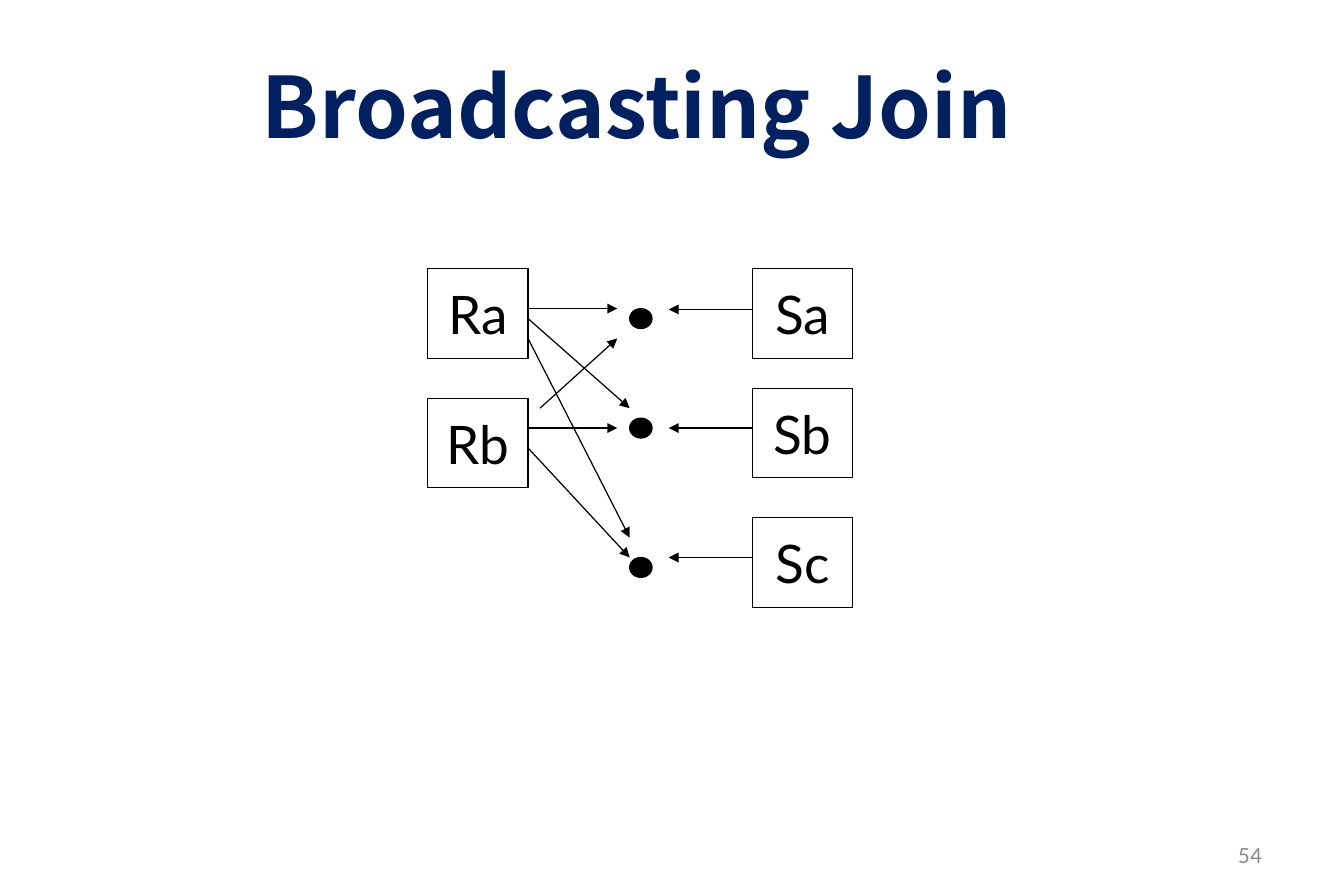
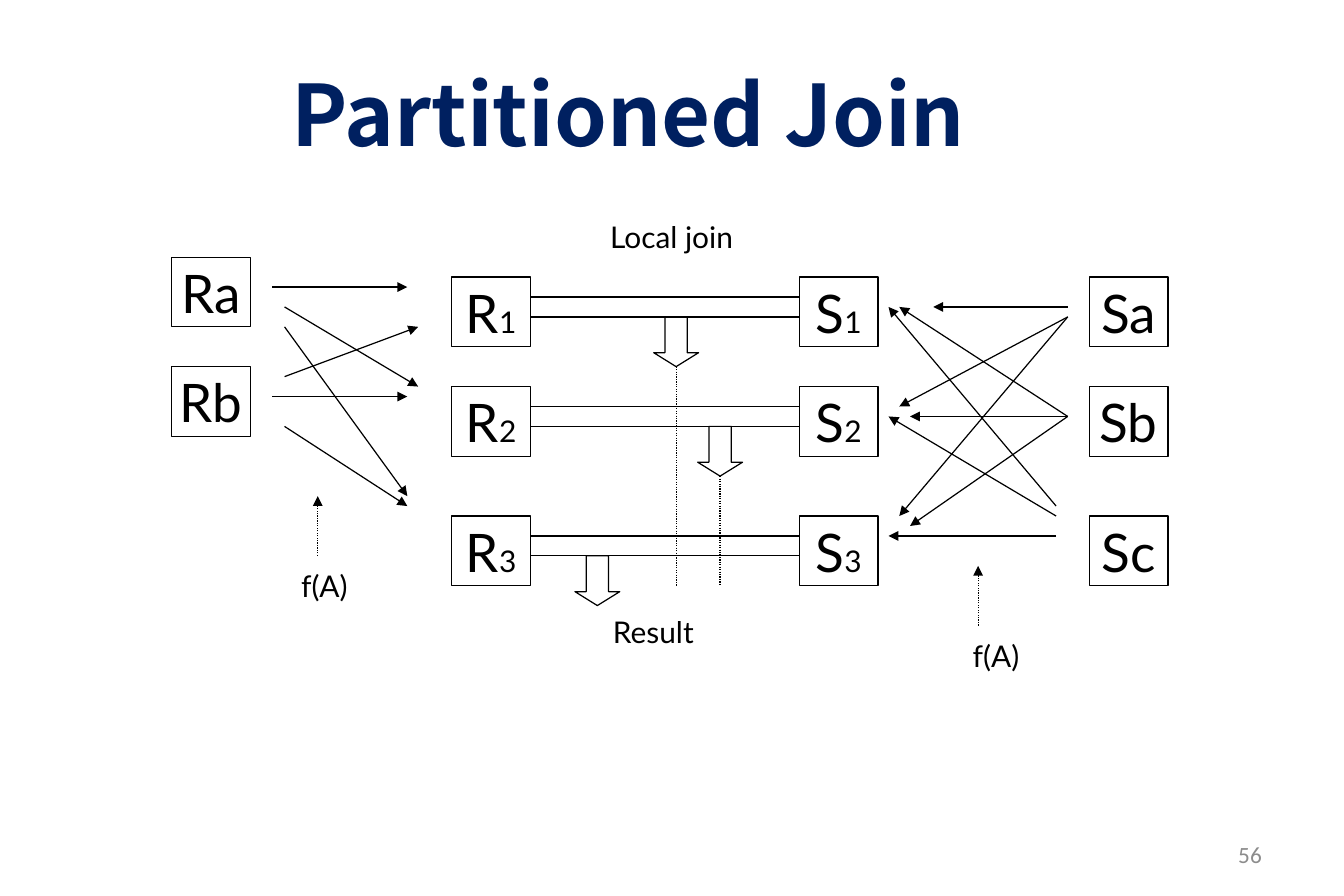
"""Builds two slides that compare broadcasting and partitioned joins."""
from lxml import etree
from pptx import Presentation
from pptx.dml.color import RGBColor
from pptx.enum import dml, shapes, text
from pptx.oxml import ns
from pptx.util import Pt

NAVY = RGBColor(0x00, 0x20, 0x60)
BLACK = RGBColor(0x00, 0x00, 0x00)
WHITE = RGBColor(0xFF, 0xFF, 0xFF)
GRAY = RGBColor(0x8C, 0x8C, 0x8C)


class Deck:
    TITLE_FONT, BODY_FONT, NUMBER_FONT = "Noto Sans CJK SC", "Lato", "Calibri"
    LINE_WIDTH = 0.75

    def __init__(self):
        self.show = Presentation()
        self.show.slide_width, self.show.slide_height = Pt(810), Pt(540)
        self.slide = None

    def start(self, heading, left, top, number):
        self.slide = self.show.slides.add_slide(self.show.slide_layouts[5])
        title = self.slide.shapes.title
        title.left, title.top, title.width, title.height = Pt(left), Pt(top), Pt(688.5), Pt(90)
        title.text_frame.text = heading
        self.style(title.text_frame, 51, self.TITLE_FONT, NAVY, bold=True)
        title.text_frame.word_wrap = True
        self.label(number, 580.5, 500.5, 188.5, 14, self.NUMBER_FONT, GRAY,
                   text.PP_ALIGN.RIGHT, side=8.5)

    def style(self, frame, size, font=BODY_FONT, color=BLACK,
              align=text.PP_ALIGN.CENTER, bold=False):
        frame.word_wrap = False
        frame.auto_size = text.MSO_AUTO_SIZE.NONE
        frame.vertical_anchor = text.MSO_ANCHOR.MIDDLE
        for paragraph in frame.paragraphs:
            paragraph.alignment = align
            for run in paragraph.runs:
                run.font.size, run.font.name, run.font.bold = Pt(size), font, bold
                run.font.color.rgb = color

    def label(self, words, left, top, width, size=18, font=BODY_FONT, color=BLACK,
              align=text.PP_ALIGN.CENTER, side=7.2):
        frame = self.slide.shapes.add_textbox(Pt(left), Pt(top), Pt(width), Pt(28.8)).text_frame
        frame.text = words
        frame.margin_left = frame.margin_right = Pt(side)
        self.style(frame, size, font, color, align)

    def outline(self, kind, left, top, width, height, fill=WHITE):
        figure = self.slide.shapes.add_shape(kind, Pt(left), Pt(top), Pt(width), Pt(height))
        figure.shadow.inherit = False
        figure.fill.solid()
        figure.fill.fore_color.rgb = fill
        figure.line.color.rgb = BLACK
        figure.line.width = Pt(self.LINE_WIDTH)
        return figure

    def box(self, name, left, top, width, height, index=""):
        frame = self.outline(shapes.MSO_SHAPE.RECTANGLE, left, top, width, height).text_frame
        frame.text = name
        if index:
            frame.paragraphs[0].add_run().text = index
        self.style(frame, 32)
        for small in frame.paragraphs[0].runs[1:]:
            small.font.size = Pt(18)

    def dot(self, left, top):
        self.outline(shapes.MSO_SHAPE.OVAL, left, top, 13.5, 12, BLACK)

    def down_arrow(self, left, top, width, height):
        arrow = self.outline(shapes.MSO_SHAPE.DOWN_ARROW, left, top, width, height)
        arrow.adjustments[0], arrow.adjustments[1] = 0.5, 0.31

    def line(self, x1, y1, x2, y2, head=True, dotted=False):
        link = self.slide.shapes.add_connector(
            shapes.MSO_CONNECTOR.STRAIGHT, Pt(x1), Pt(y1), Pt(x2), Pt(y2))
        link.line.color.rgb = BLACK
        link.line.width = Pt(self.LINE_WIDTH)
        if dotted:
            link.line.dash_style = dml.MSO_LINE.ROUND_DOT
        if head:
            etree.SubElement(link.get_or_add_ln(), ns.qn("a:tailEnd"), type="triangle")
        etree.SubElement(link.element.spPr, ns.qn("a:effectLst"))


def broadcasting(deck):
    deck.start("Broadcasting Join", 39.5, 18, "54")
    width, height = 60.5, 54
    r_left, s_left = 257.75, 453.5
    r_right = r_left + width
    for name, top in (("Ra", 162), ("Rb", 240)):
        deck.box(name, r_left, top, width, height)
    for name, top, dot_top, arrow_y in (("Sa", 162, 186, 186.5), ("Sb", 234, 252, 258),
                                        ("Sc", 312, 336, 336)):
        deck.box(name, s_left, top, width, height)
        deck.dot(379.5, dot_top)
        deck.line(s_left, arrow_y, 403, arrow_y)
    for ends in ((r_right, 186, 372, 186), (r_right, 192, 379.5, 246),
                 (r_right, 204, 379.5, 324), (325.5, 246, 372, 204),
                 (r_right, 258, 372, 258), (r_right, 270, 379.5, 336)):
        deck.line(*ends)


def partitioned(deck):
    deck.start("Partitioned Join", 34.5, 23, "56")
    width, height = 47.5, 42
    r_left, s_left = 272.25, 481.75
    arrow_width, arrow_height = 27, 30
    for name, top in (("Ra", 155), ("Rb", 221)):
        deck.box(name, 103.5, top, width, height)
    rows = ((167, "1", "Sa", 394), (233, "2", "Sb", 420.5), (311, "3", "Sc", 346.5))
    for top, index, source, arrow_left in rows:
        deck.box("R", r_left, top, width, height, index)
        deck.box("S", s_left, top, width, height, index)
        deck.box(source, 656.5, top, width, height)
        deck.down_arrow(arrow_left, top + 24, arrow_width, arrow_height)
        for drop in (12, 24):
            deck.line(r_left + width, top + drop, s_left, top + drop, head=False)
    for top, _, _, arrow_left in rows[:2]:
        center = arrow_left + arrow_width / 2
        deck.line(center, top + 24 + arrow_height, center, 353, head=False, dotted=True)

    for ends in ((164, 173, 245.5, 173), (171.5, 185, 252, 233), (171.5, 197, 245.5, 299),
                 (171.5, 227, 252, 197), (164, 239, 245.5, 239), (171.5, 257, 245.5, 305)):
        deck.line(*ends)
    for ends in ((643.5, 185, 562.5, 185), (643.5, 191, 542, 245), (643.5, 191, 542, 311),
                 (643.5, 251, 542, 185), (643.5, 251, 548.5, 251), (643.5, 251, 548.5, 317),
                 (636.5, 305, 535.5, 185), (636.5, 311, 535.5, 251), (636.5, 323, 535.5, 323)):
        deck.line(*ends)

    for words, left, top, wide in (("Local join", 359.5, 128, 90.5), ("Result", 362, 366, 63.5),
                                   ("f(A)", 172.75, 338.5, 45.5), ("f(A)", 577.5, 380.5, 45.5)):
        deck.label(words, left, top, wide)
    for x, bottom in ((191.5, 335), (589.5, 377)):
        deck.line(x, bottom, x, bottom - 36, dotted=True)


def main():
    deck = Deck()
    broadcasting(deck)
    partitioned(deck)
    deck.show.save("out.pptx")


if __name__ == "__main__":
    main()
